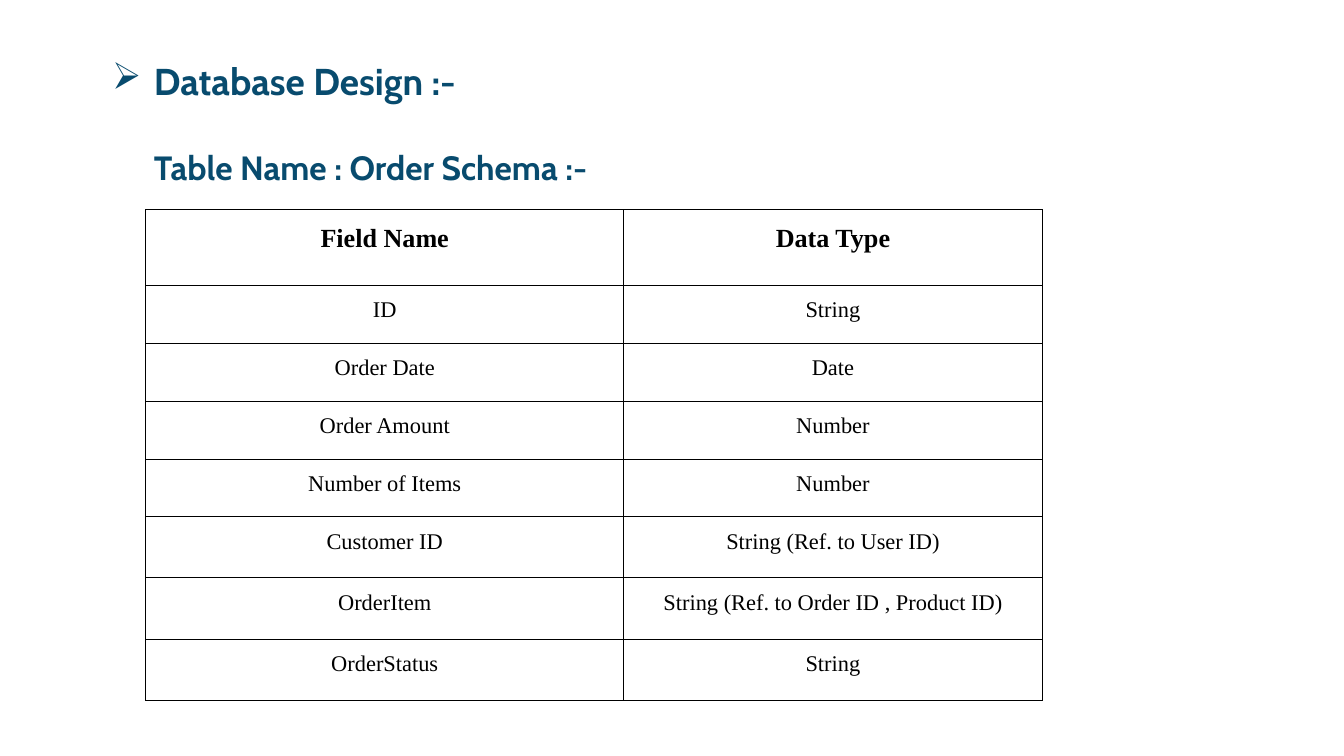
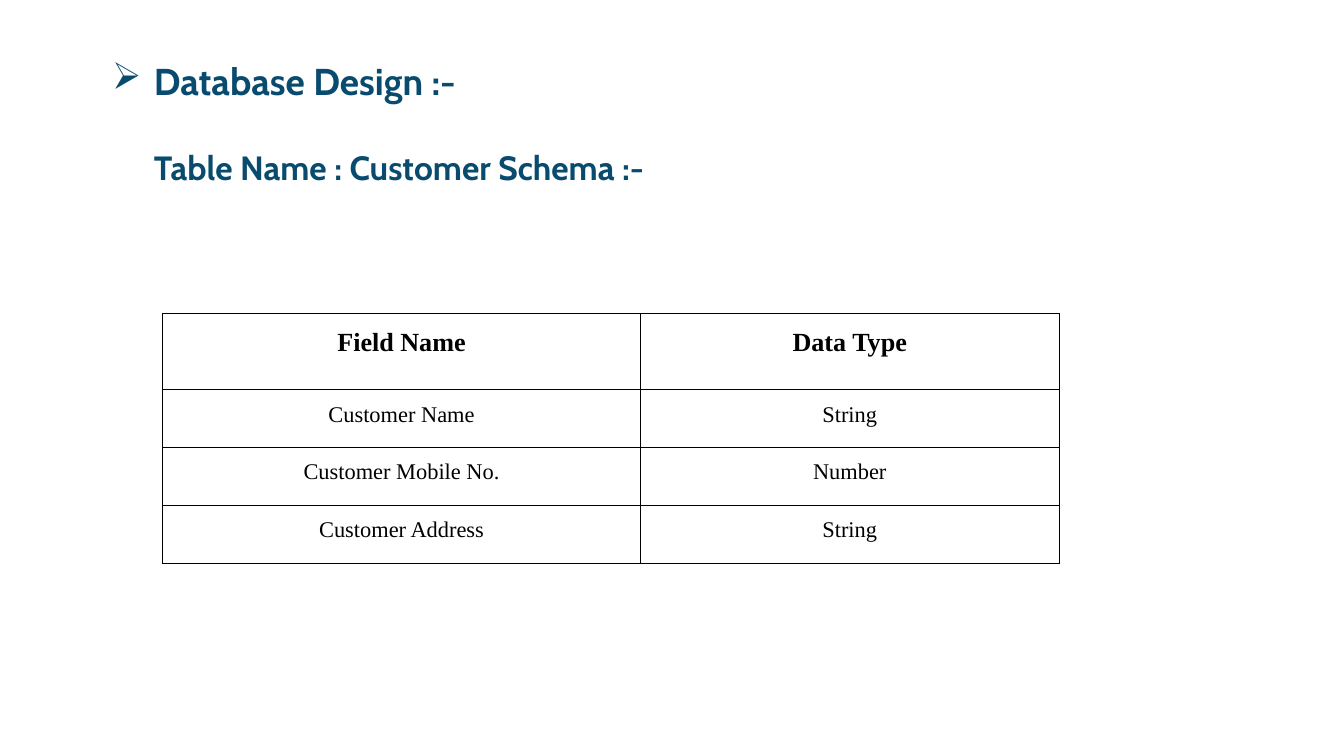
"""Build the database design slides: one schema table per page."""
from dataclasses import dataclass

from lxml import etree
from pptx import Presentation
from pptx.dml.color import RGBColor
from pptx.enum.text import MSO_ANCHOR, MSO_AUTO_SIZE, PP_ALIGN
from pptx.oxml.ns import qn
from pptx.util import Inches, Pt

TOP = MSO_ANCHOR.TOP
GROW = MSO_AUTO_SIZE.SHAPE_TO_FIT_TEXT
CENTER = PP_ALIGN.CENTER
BLANK_LAYOUT = 6


@dataclass(frozen=True)
class Theme:
    """Colours, fonts, type sizes and measures shared by all pages."""
    heading_color: str = "084B6E"
    table_color: str = "000000"
    heading_font: str = "Cabin"
    table_font: str = "Times New Roman"
    title_size: int = 40
    subtitle_size: int = 36
    header_size: int = 28
    body_size: int = 24
    subtitle_gap: int = 48
    border_width: int = 1
    cell_spacing: float = 1.5
    hanging: float = 0.62
    header_height: float = 1.13
    row_height: float = 0.86
    tall_row_height: float = 0.91


@dataclass(frozen=True)
class Schema:
    """A named schema, its fields and the place of its table."""
    name: str
    fields: tuple
    left: float
    top: float
    tall_rows: int = 0


THEME = Theme()
TITLE = "Database Design :-"
TITLE_BOX = (1.67, 0.86, 12.58, 2.02)
HEADER = ("Field Name", "Data Type")
COLUMN_WIDTHS = (7.11, 6.23)
SCHEMAS = (
    Schema("Order Schema", (
        ("ID", "String"),
        ("Order Date", "Date"),
        ("Order Amount", "Number"),
        ("Number of Items", "Number"),
        ("Customer ID", "String (Ref. to User ID)"),
        ("OrderItem", "String (Ref. to Order ID , Product ID)"),
        ("OrderStatus", "String"),
    ), 2.17, 3.12, tall_rows=3),
    Schema("Customer Schema", (
        ("Customer Name", "String"),
        ("Customer Mobile No.", "Number"),
        ("Customer Address", "String"),
    ), 2.42, 4.67),
)


def style_font(paragraph, name, size, color, bold):
    """Set the font of a whole paragraph."""
    font = paragraph.font
    font.name, font.size, font.bold = name, Pt(size), bold
    font.color.rgb = RGBColor.from_string(color)


def indent_heading(paragraph, bullet=None):
    """Indent a heading line, hanging the bullet if there is one."""
    properties = paragraph._p.get_or_add_pPr()
    properties.set("marL", str(Inches(THEME.hanging)))
    properties.set("indent", str(Inches(-THEME.hanging if bullet else 0)))
    if bullet:
        etree.SubElement(properties, qn("a:buChar"), char=bullet)
    else:
        etree.SubElement(properties, qn("a:buNone"))


def add_heading(page, box, schema_name):
    """Place the bulleted title and the table name in the box."""
    frame = page.shapes.add_textbox(*map(Inches, box)).text_frame
    frame.word_wrap = True
    frame.auto_size = GROW
    frame.vertical_anchor = TOP
    frame.margin_left = frame.margin_right = 0
    frame.margin_top = frame.margin_bottom = 0
    lines = (
        (TITLE, THEME.title_size, "➢"),
        (f"Table Name : {schema_name} :-", THEME.subtitle_size, None),
    )
    for index, (text, size, bullet) in enumerate(lines):
        paragraph = frame.add_paragraph() if index else frame.paragraphs[0]
        paragraph.text = text
        if index:
            paragraph.space_before = Pt(THEME.subtitle_gap)
        indent_heading(paragraph, bullet)
        style_font(paragraph, THEME.heading_font, size, THEME.heading_color, True)


def add_borders(cell):
    """Draw a solid line on all four sides of a cell."""
    properties = cell._tc.get_or_add_tcPr()
    for side in ("lnL", "lnR", "lnT", "lnB"):
        line = etree.SubElement(properties, qn(f"a:{side}"),
                                w=str(Pt(THEME.border_width)))
        fill = etree.SubElement(line, qn("a:solidFill"))
        etree.SubElement(fill, qn("a:srgbClr"), val=THEME.table_color)


def fill_cell(cell, text, is_header):
    """Write centred text into a bordered cell without fill."""
    cell.margin_left = cell.margin_right = 0
    cell.margin_top = cell.margin_bottom = 0
    cell.vertical_anchor = TOP
    add_borders(cell)
    cell.fill.background()
    paragraph = cell.text_frame.paragraphs[0]
    paragraph.text = text
    paragraph.alignment = CENTER
    paragraph.line_spacing = THEME.cell_spacing
    size = THEME.header_size if is_header else THEME.body_size
    style_font(paragraph, THEME.table_font, size, THEME.table_color, is_header)


def add_schema_table(page, schema):
    """Place the table of fields and data types."""
    rows = (HEADER, *schema.fields)
    normal_rows = len(schema.fields) - schema.tall_rows
    heights = ([THEME.header_height] + [THEME.row_height] * normal_rows
               + [THEME.tall_row_height] * schema.tall_rows)
    box = (schema.left, schema.top, sum(COLUMN_WIDTHS), sum(heights))
    table = page.shapes.add_table(len(rows), len(HEADER), *map(Inches, box)).table
    table.first_row = table.horz_banding = False
    for column, width in zip(table.columns, COLUMN_WIDTHS):
        column.width = Inches(width)
    for index, (texts, height) in enumerate(zip(rows, heights)):
        table.rows[index].height = Inches(height)
        for cell, text in zip(table.rows[index].cells, texts):
            fill_cell(cell, text, is_header=index == 0)


def add_schema_page(deck, schema):
    """Add a page with the heading and one schema table."""
    page = deck.slides.add_slide(deck.slide_layouts[BLANK_LAYOUT])
    add_heading(page, TITLE_BOX, schema.name)
    add_schema_table(page, schema)


def main():
    """Build and save the deck."""
    deck = Presentation()
    deck.slide_width, deck.slide_height = Inches(20), Inches(11.25)
    for schema in SCHEMAS:
        add_schema_page(deck, schema)
    deck.save("out.pptx")


if __name__ == "__main__":
    main()
